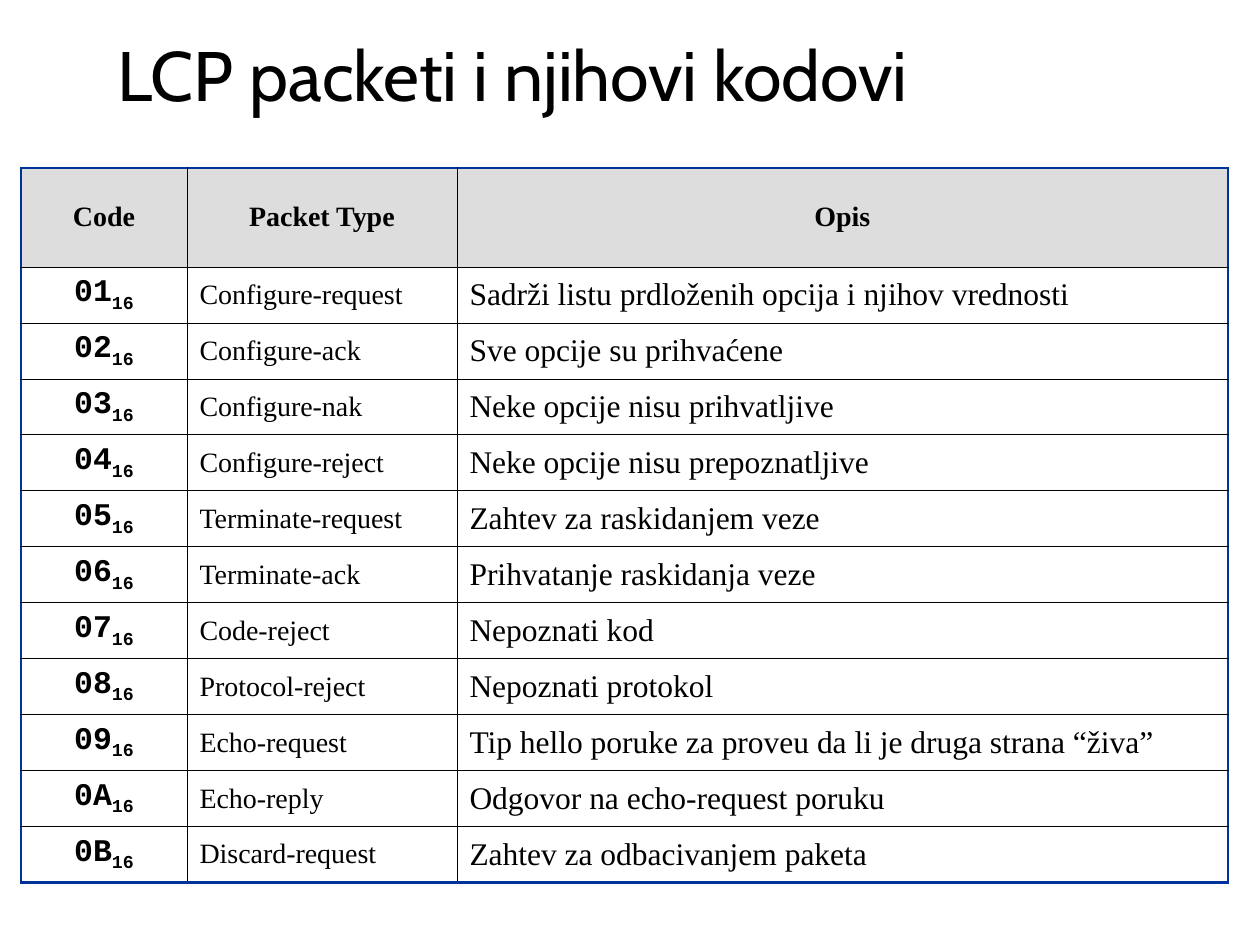
from dataclasses import dataclass
from typing import Any

from lxml.etree import SubElement
from pptx import Presentation
from pptx.dml.color import RGBColor
from pptx.enum.text import MSO_ANCHOR, PP_ALIGN
from pptx.oxml.ns import qn
from pptx.util import Emu, Pt


@dataclass(frozen=True)
class Theme:
    ink: str = "000000"
    frame: str = "003399"
    shade: str = "DDDDDD"
    paper: str = "FFFFFF"
    thick: float = 1.47
    thin: float = 0.45
    title: int = 40
    large: int = 18
    small: int = 16
    sans: str = "Cabin"
    serif: str = "Times New Roman"
    mono: str = "Courier New"


@dataclass(frozen=True)
class Style:
    font: dict[str, Any]
    align: PP_ALIGN = PP_ALIGN.LEFT


@dataclass(frozen=True)
class Packet:
    code: str
    kind: str
    note: str


THEME = Theme()
TITLE = Style({"name": THEME.sans, "size": Pt(THEME.title), "bold": False})
HEAD = Style({"name": THEME.serif, "size": Pt(THEME.small), "bold": True}, PP_ALIGN.CENTER)
CODE = Style({"name": THEME.mono, "size": Pt(THEME.large), "bold": True}, PP_ALIGN.CENTER)
KIND = Style({"name": THEME.serif, "size": Pt(THEME.small), "bold": False})
NOTE = Style({"name": THEME.serif, "size": Pt(THEME.large), "bold": False})

HEADS = ("Code", "Packet Type", "Opis")
BASE = "16"
PACKETS = (
    Packet("01", "Configure-request", "Sadrži listu prdloženih opcija i njihov vrednosti"),
    Packet("02", "Configure-ack", "Sve opcije su prihvaćene"),
    Packet("03", "Configure-nak", "Neke opcije nisu prihvatljive"),
    Packet("04", "Configure-reject", "Neke opcije nisu prepoznatljive"),
    Packet("05", "Terminate-request", "Zahtev za raskidanjem veze"),
    Packet("06", "Terminate-ack", "Prihvatanje raskidanja veze"),
    Packet("07", "Code-reject", "Nepoznati kod"),
    Packet("08", "Protocol-reject", "Nepoznati protokol"),
    Packet("09", "Echo-request", "Tip hello poruke za proveu da li je druga strana “živa”"),
    Packet("0A", "Echo-reply", "Odgovor na echo-request poruku"),
    Packet("0B", "Discard-request", "Zahtev za odbacivanjem paketa"),
)
COLS = (166, 270, 771)
TOP_ROW, ROW = 99, 56


def px(n: int) -> Emu:
    return Emu(round(n * 914400 / 126))


def write(frame: Any, text: str, style: Style, sub: str = "") -> None:
    """Fill a text frame with one line, with an optional subscript after it."""
    para = frame.paragraphs[0]
    para.alignment = style.align
    for part in filter(None, (text, sub)):
        run = para.add_run()
        run.text = part
        for key, value in style.font.items():
            setattr(run.font, key, value)
        run.font.color.rgb = RGBColor.from_string(THEME.ink)
    if sub:
        run._r.get_or_add_rPr().set("baseline", "-25000")


def border(cell: Any, outer: dict[str, bool]) -> None:
    """Draw the four edges, thick where the cell meets the table frame."""
    props = cell._tc.get_or_add_tcPr()
    for side, edge in outer.items():
        width, color = (THEME.thick, THEME.frame) if edge else (THEME.thin, THEME.ink)
        line = SubElement(props, qn(f"a:ln{side}"), w=str(Pt(width)))
        SubElement(SubElement(line, qn("a:solidFill")), qn("a:srgbClr"), val=color)


def draw_title(slide: Any, text: str) -> None:
    frame = slide.shapes.add_textbox(px(105), px(21), px(1071), px(105)).text_frame
    frame.word_wrap = True
    frame.vertical_anchor = MSO_ANCHOR.MIDDLE
    write(frame, text, TITLE)


def draw_table(slide: Any) -> None:
    rows = [TOP_ROW] + [ROW] * len(PACKETS)
    shape = slide.shapes.add_table(
        len(rows), len(COLS), px(21), px(168), px(sum(COLS)), px(sum(rows)))
    table = shape.table
    table.first_row = table.horz_banding = False
    for col, width in zip(table.columns, COLS):
        col.width = px(width)
    for row, height in zip(table.rows, rows):
        row.height = px(height)

    for c, text in enumerate(HEADS):
        write(table.cell(0, c).text_frame, text, HEAD)
    for r, item in enumerate(PACKETS, 1):
        write(table.cell(r, 0).text_frame, item.code, CODE, BASE)
        write(table.cell(r, 1).text_frame, item.kind, KIND)
        write(table.cell(r, 2).text_frame, item.note, NOTE)

    for r in range(len(rows)):
        for c in range(len(COLS)):
            cell = table.cell(r, c)
            cell.vertical_anchor = MSO_ANCHOR.MIDDLE
            border(cell, {"L": c == 0, "R": c == len(COLS) - 1,
                          "T": r == 0, "B": r == len(rows) - 1})
            cell.fill.solid()
            cell.fill.fore_color.rgb = RGBColor.from_string(
                THEME.paper if r else THEME.shade)


def main() -> None:
    deck = Presentation()
    deck.slide_width, deck.slide_height = px(1260), px(945)
    slide = deck.slides.add_slide(deck.slide_layouts[6])
    draw_title(slide, "LCP packeti i njihovi kodovi")
    draw_table(slide)
    deck.save("out.pptx")


if __name__ == "__main__":
    main()
